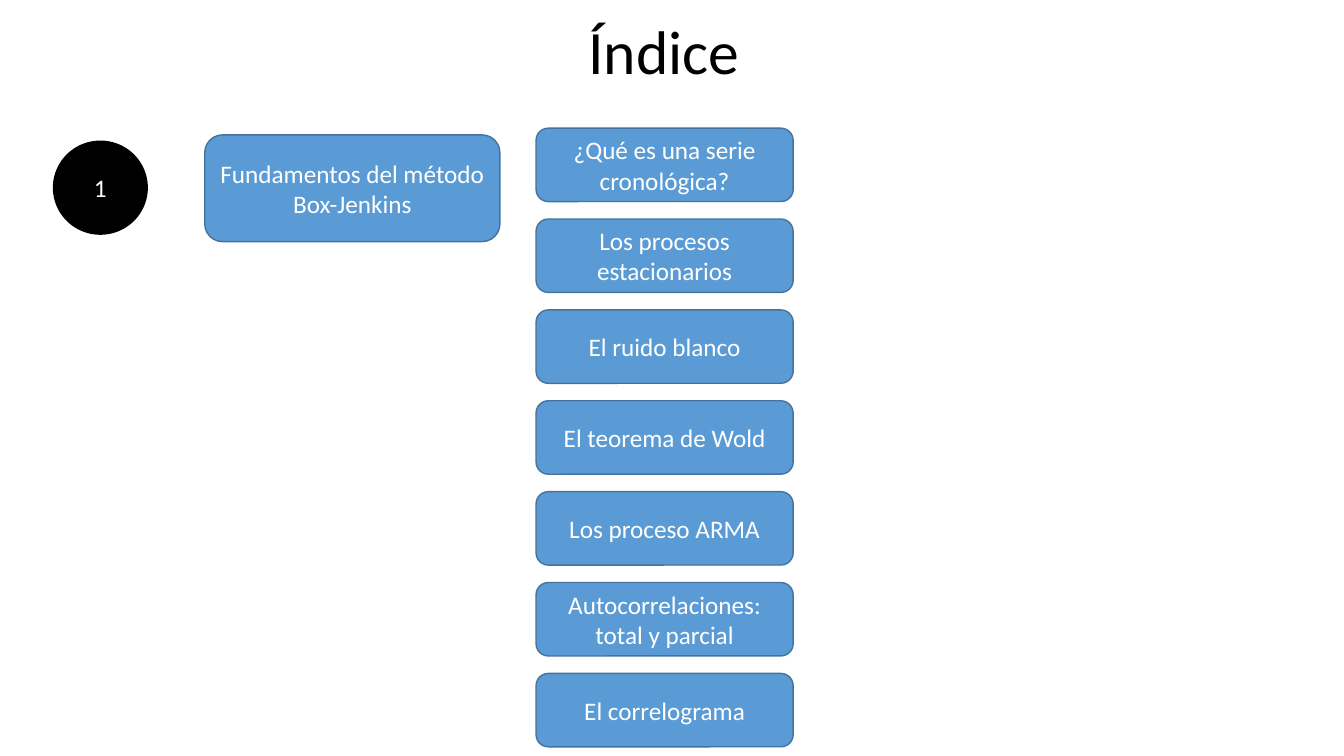
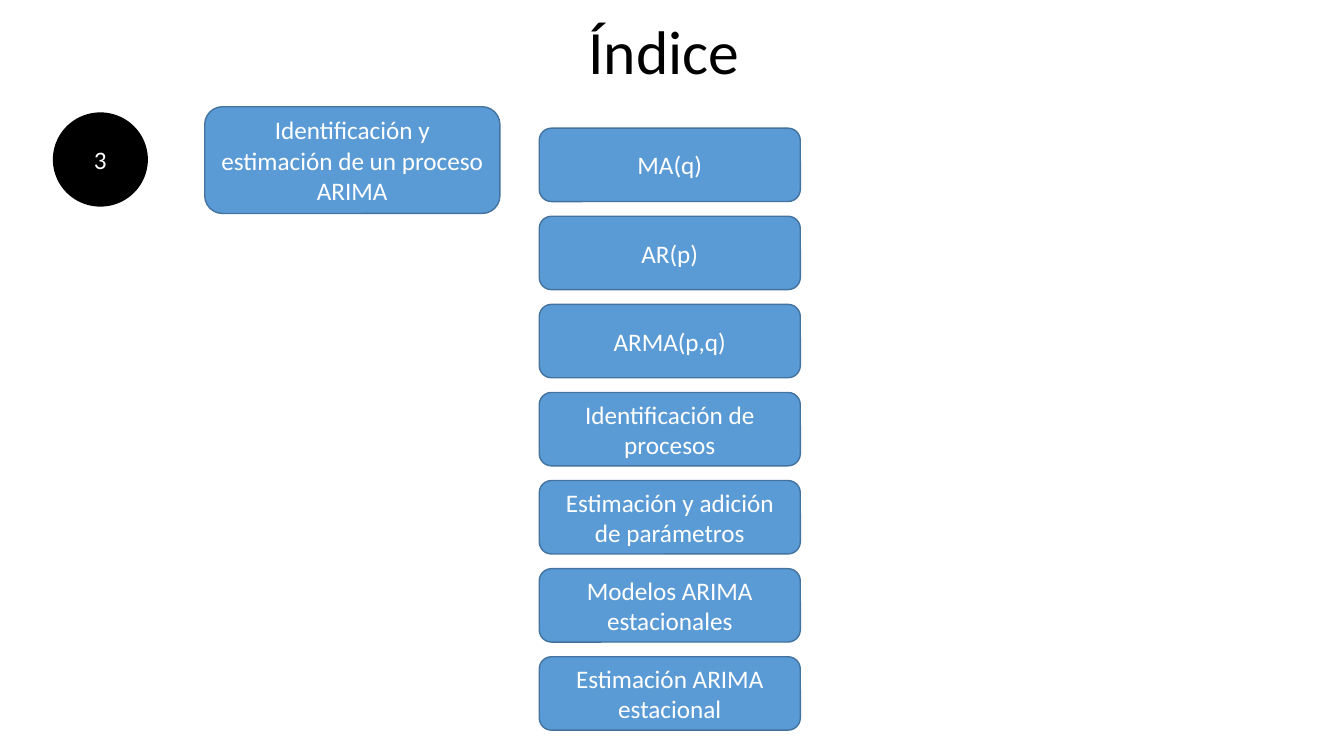
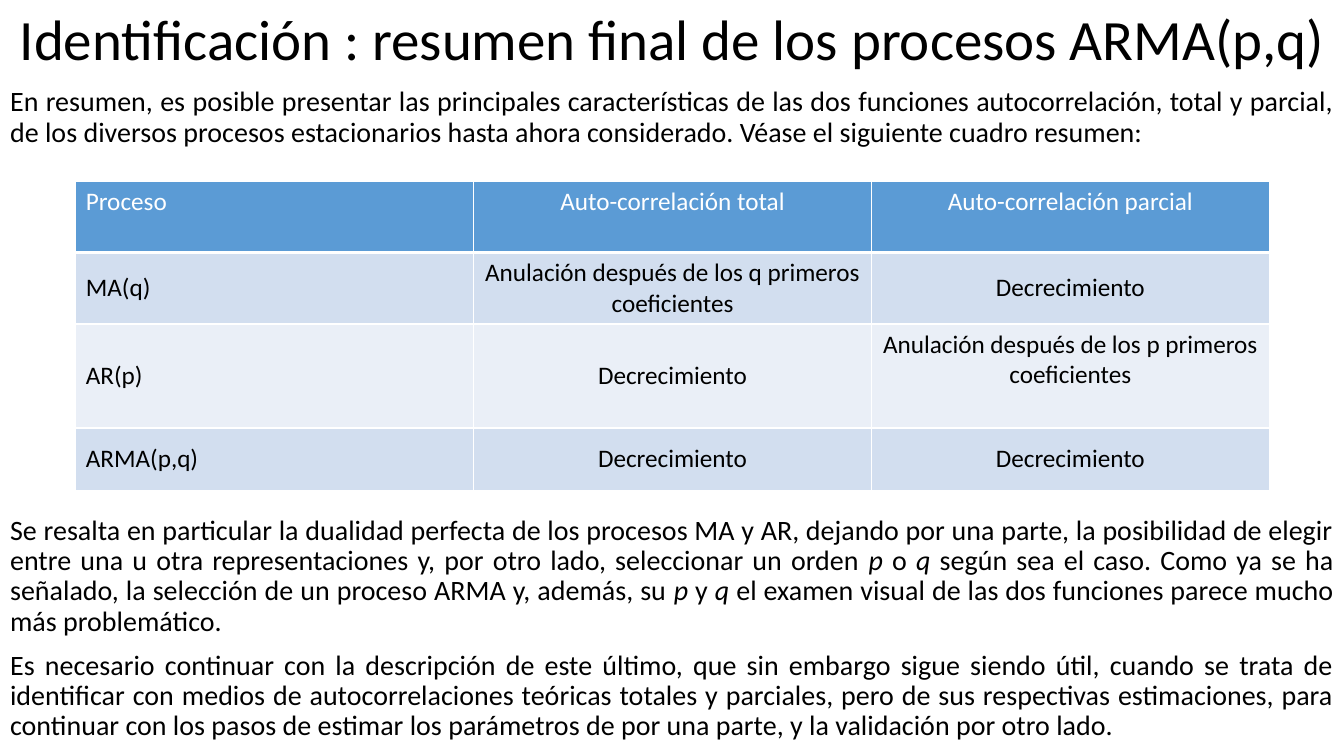
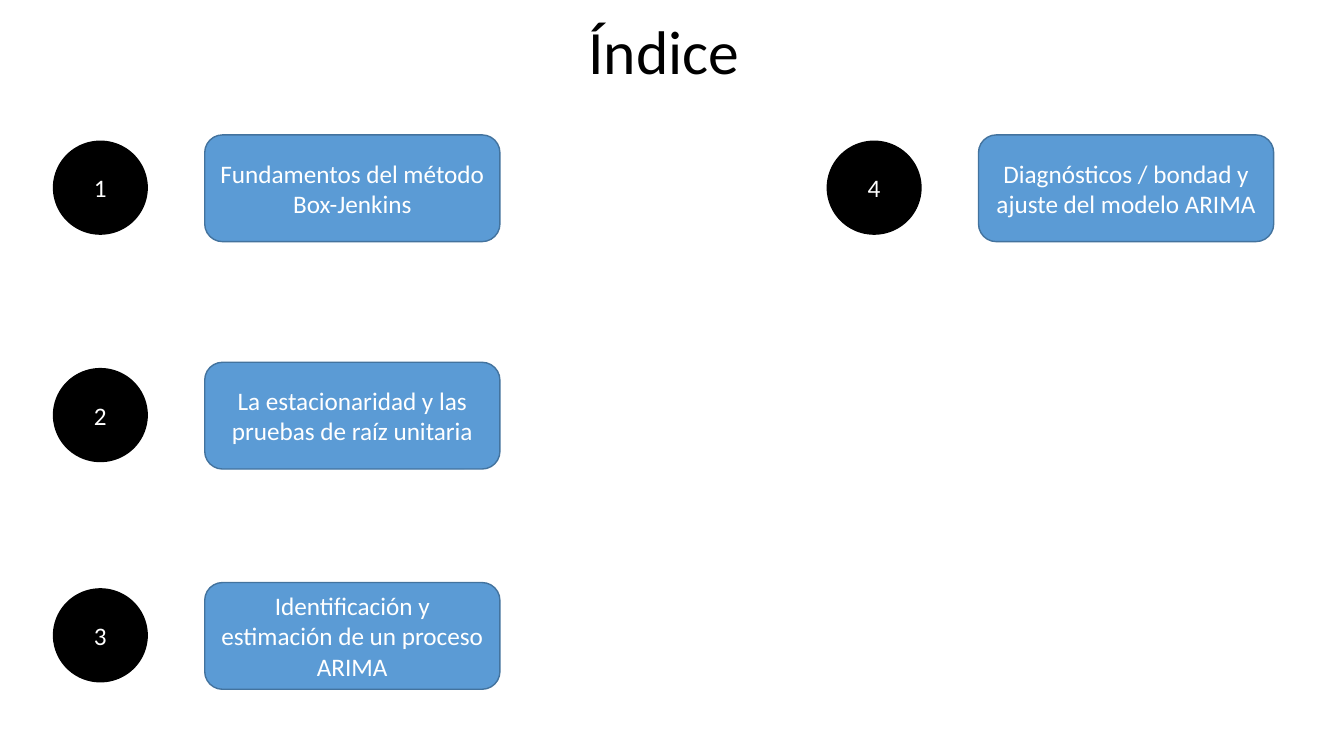
from lxml import etree
from pptx import Presentation
from pptx.dml.color import RGBColor
from pptx.enum.shapes import MSO_SHAPE
from pptx.enum.text import MSO_ANCHOR, MSO_AUTO_SIZE, PP_ALIGN
from pptx.oxml.ns import qn
from pptx.util import Cm, Pt

ELLIPSE, ROUNDED = MSO_SHAPE.OVAL, MSO_SHAPE.ROUNDED_RECTANGLE
TOP, MIDDLE = MSO_ANCHOR.TOP, MSO_ANCHOR.MIDDLE
LEFT, CENTER, JUSTIFY = PP_ALIGN.LEFT, PP_ALIGN.CENTER, PP_ALIGN.JUSTIFY
NO_FIT = MSO_AUTO_SIZE.NONE
TITLE_CONTENT, TITLE_ONLY = 1, 5

COLORS = {
    "black": "000000",
    "white": "FFFFFF",
    "blue": "5B9BD5",
    "outline": "43739E",
    "band_dark": "D2DEEF",
    "band_light": "EAEFF7",
}
INDEX_TITLE_BOX = (2.13, 0.08, 29.21, 2.59)

# Wording
SECTIONS = [
    "Fundamentos del método Box-Jenkins",
    "La estacionaridad y las pruebas de raíz unitaria",
    "Identificación y estimación de un proceso ARIMA",
    "Diagnósticos / bondad y ajuste del modelo ARIMA",
]
BASIC_TOPICS = [
    "¿Qué es una serie cronológica?",
    "Los procesos estacionarios",
    "El ruido blanco",
    "El teorema de Wold",
    "Los proceso ARMA",
    "Autocorrelaciones: total y parcial",
    "El correlograma",
]
ARIMA_TOPICS = [
    "MA(q)",
    "AR(p)",
    "ARMA(p,q)",
    "Identificación de procesos",
    "Estimación y adición de parámetros",
    "Modelos ARIMA estacionales",
    "Estimación ARIMA estacional",
]
# Asterisks enclose italics; each text comes with its space before in points
SUMMARY = [
    (0, "En resumen, es posible presentar las principales características de las "
        "dos funciones autocorrelación, total y parcial, de los diversos procesos "
        "estacionarios hasta ahora considerado. Véase el siguiente cuadro resumen:"),
    (263, "Se resalta en particular la dualidad perfecta de los procesos MA y AR, "
          "dejando por una parte, la posibilidad de elegir entre una u otra "
          "representaciones y, por otro lado, seleccionar un orden *p* o *q* según "
          "sea el caso. Como ya se ha señalado, la selección de un proceso ARMA y, "
          "además, su *p* y *q* el examen visual de las dos funciones parece mucho "
          "más problemático."),
    (10, "Es necesario continuar con la descripción de este último, que sin embargo "
         "sigue siendo útil, cuando se trata de identificar con medios de "
         "autocorrelaciones teóricas totales y parciales, pero de sus respectivas "
         "estimaciones, para continuar con los pasos de estimar los parámetros de "
         "por una parte, y la validación por otro lado."),
]
PROCESS_ROWS = [
    ("Proceso", "Auto-correlación total", "Auto-correlación parcial"),
    ("MA(q)", "Anulación después de los q primeros coeficientes", "Decrecimiento"),
    ("AR(p)", "Decrecimiento", "Anulación después de los p primeros coeficientes"),
    ("ARMA(p,q)", "Decrecimiento", "Decrecimiento"),
]
ROW_HEIGHTS = [1.8, 1.8, 2.62, 1.57]
ROW_FILLS = ["blue", "band_dark", "band_light", "band_dark"]
TOP_CELLS = {(0, 0), (0, 1), (0, 2), (2, 2)}


def rgb(name):
    return RGBColor.from_string(COLORS[name])


def set_attrs(target, values):
    for name, value in values.items():
        setattr(target, name, value)


def style_font(font, size, color):
    set_attrs(font, {"name": "Calibri", "size": Pt(size), "bold": False})
    font.color.rgb = rgb(color)


def place(sp, box):
    names = ("left", "top", "width", "height")
    set_attrs(sp, {name: Cm(v) for name, v in zip(names, box)})


def add_title(s, text, box, size=44):
    sp = s.shapes.title
    place(sp, box)
    tf = sp.text_frame
    set_attrs(tf, {"text": text, "vertical_anchor": MIDDLE,
                   "word_wrap": True, "auto_size": NO_FIT})
    p = tf.paragraphs[0]
    set_attrs(p, {"alignment": CENTER, "line_spacing": 0.9})
    style_font(p.runs[0].font, size, "black")


def add_label(s, kind, box, text, fill, outline):
    sp = s.shapes.add_shape(kind, *map(Cm, box))
    sp.shadow.inherit = False
    sp.fill.solid()
    sp.fill.fore_color.rgb = rgb(fill)
    sp.line.color.rgb = rgb(outline)
    sp.line.width = Pt(1)
    tf = sp.text_frame
    set_attrs(tf, {"text": text, "word_wrap": True, "vertical_anchor": MIDDLE})
    p = tf.paragraphs[0]
    p.alignment = CENTER
    style_font(p.runs[0].font, 18, "white")


def add_section(s, number, left, top):
    """Numbered circle with the section's box to its right."""
    add_label(s, ELLIPSE, (left, top + 0.16, 2.36, 2.34), str(number),
              "black", "black")
    add_label(s, ROUNDED, (left + 3.81, top, 7.44, 2.69), SECTIONS[number - 1],
              "blue", "outline")


def add_topics(s, topics, left, top, width, pitch):
    for i, topic in enumerate(topics):
        add_label(s, ROUNDED, (left, top + i * pitch, width, 1.85), topic,
                  "blue", "outline")


def add_index_slide(prs, sections):
    s = prs.slides.add_slide(prs.slide_layouts[TITLE_ONLY])
    add_title(s, "Índice", INDEX_TITLE_BOX)
    for number, left, top in sections:
        add_section(s, number, left, top)
    return s


def add_body(s, box):
    sp = s.placeholders[1]
    place(sp, box)
    tf = sp.text_frame
    set_attrs(tf, {"word_wrap": True, "auto_size": NO_FIT, "vertical_anchor": TOP})
    for i, (space, text) in enumerate(SUMMARY):
        p = tf.add_paragraph() if i else tf.paragraphs[0]
        pPr = p._p.get_or_add_pPr()
        pPr.set("marL", "0")
        pPr.set("indent", "0")
        etree.SubElement(pPr, qn("a:buNone"))
        set_attrs(p, {"alignment": JUSTIFY, "line_spacing": 0.9,
                      "space_before": Pt(space)})
        for j, part in enumerate(text.split("*")):
            r = p.add_run()
            r.text = part
            style_font(r.font, 20, "black")
            r.font.italic = j % 2 == 1


def add_borders(cell, bottom):
    tcPr = cell._tc.get_or_add_tcPr()
    widths = {"a:lnL": 1, "a:lnR": 1, "a:lnT": 1, "a:lnB": bottom}
    for i, (tag, width) in enumerate(widths.items()):
        ln = etree.Element(qn(tag), w=str(Pt(width)))
        fill = etree.SubElement(ln, qn("a:solidFill"))
        etree.SubElement(fill, qn("a:srgbClr"), val=COLORS["white"])
        tcPr.insert(i, ln)


def add_process_table(s, left, top, width):
    rows, cols = len(PROCESS_ROWS), len(PROCESS_ROWS[0])
    table = s.shapes.add_table(rows, cols, Cm(left), Cm(top), Cm(width),
                               Cm(sum(ROW_HEIGHTS))).table
    for i, texts in enumerate(PROCESS_ROWS):
        table.rows[i].height = Cm(ROW_HEIGHTS[i])
        for j, text in enumerate(texts):
            cell = table.cell(i, j)
            cell.text = text
            cell.vertical_anchor = TOP if (i, j) in TOP_CELLS else MIDDLE
            cell.fill.solid()
            cell.fill.fore_color.rgb = rgb(ROW_FILLS[i])
            add_borders(cell, 1 if i else 3)
            p = cell.text_frame.paragraphs[0]
            p.alignment = CENTER if j else LEFT
            style_font(p.runs[0].font, 18, "black" if i else "white")


def add_summary_slide(prs):
    s = prs.slides.add_slide(prs.slide_layouts[TITLE_CONTENT])
    add_title(s, "Identificación : resumen final de los procesos ARMA(p,q)",
              (0, 0.05, 33.87, 2.03), 40.7)
    add_body(s, (0, 2.08, 33.87, 16.97))
    add_process_table(s, 1.91, 4.56, 30.08)


def main():
    prs = Presentation()
    prs.slide_width, prs.slide_height = Cm(33.87), Cm(19.05)

    s = add_index_slide(prs, [(1, 1.35, 3.4)])
    add_topics(s, BASIC_TOPICS, 13.51, 3.23, 6.48, 2.29)

    s = add_index_slide(prs, [(3, 1.35, 2.69)])
    add_topics(s, ARIMA_TOPICS, 13.59, 3.23, 6.58, 2.22)

    add_summary_slide(prs)

    add_index_slide(prs, [(1, 1.35, 3.4), (2, 1.35, 9.13),
                          (3, 1.35, 14.68), (4, 20.85, 3.4)])
    prs.save("out.pptx")


if __name__ == "__main__":
    main()
